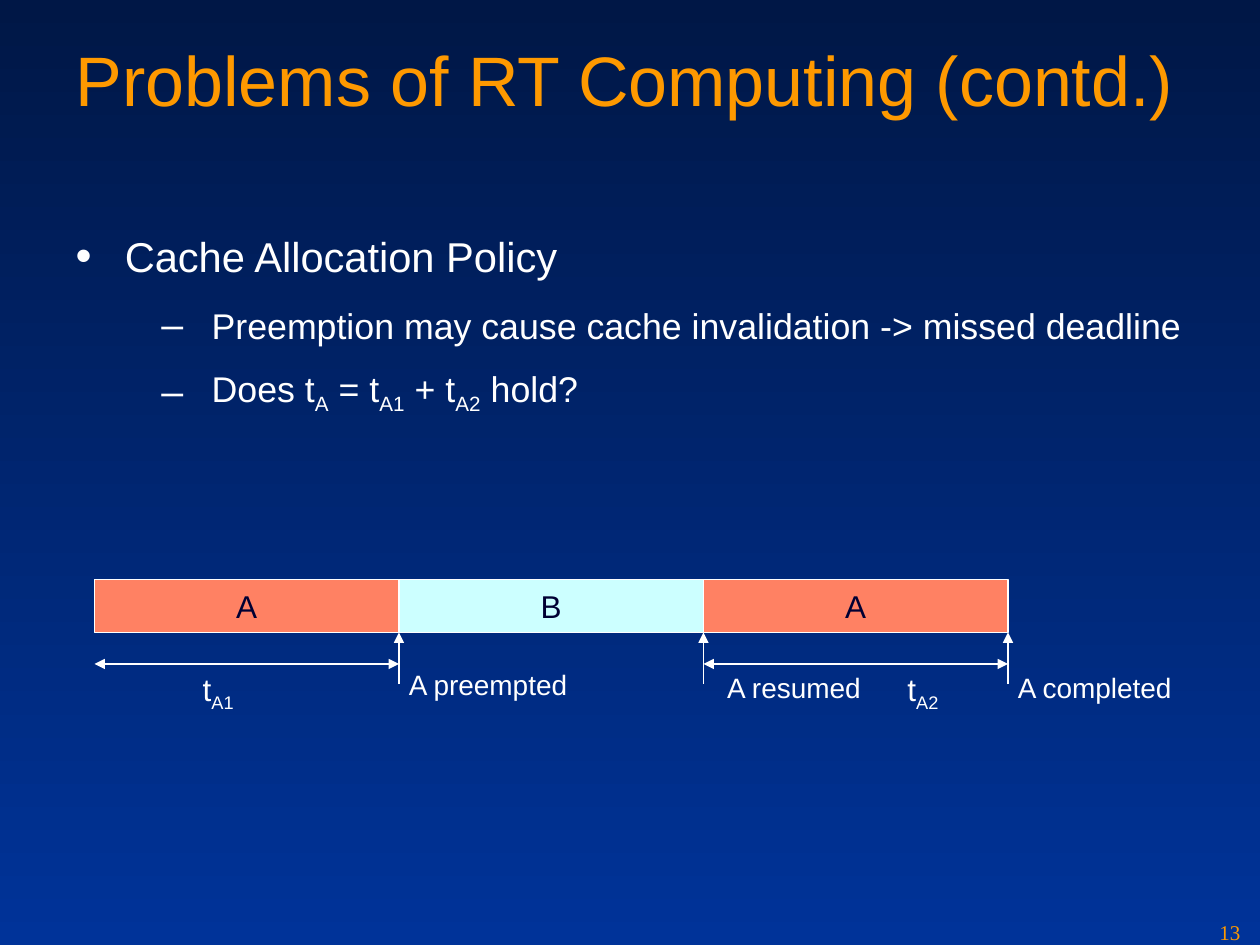
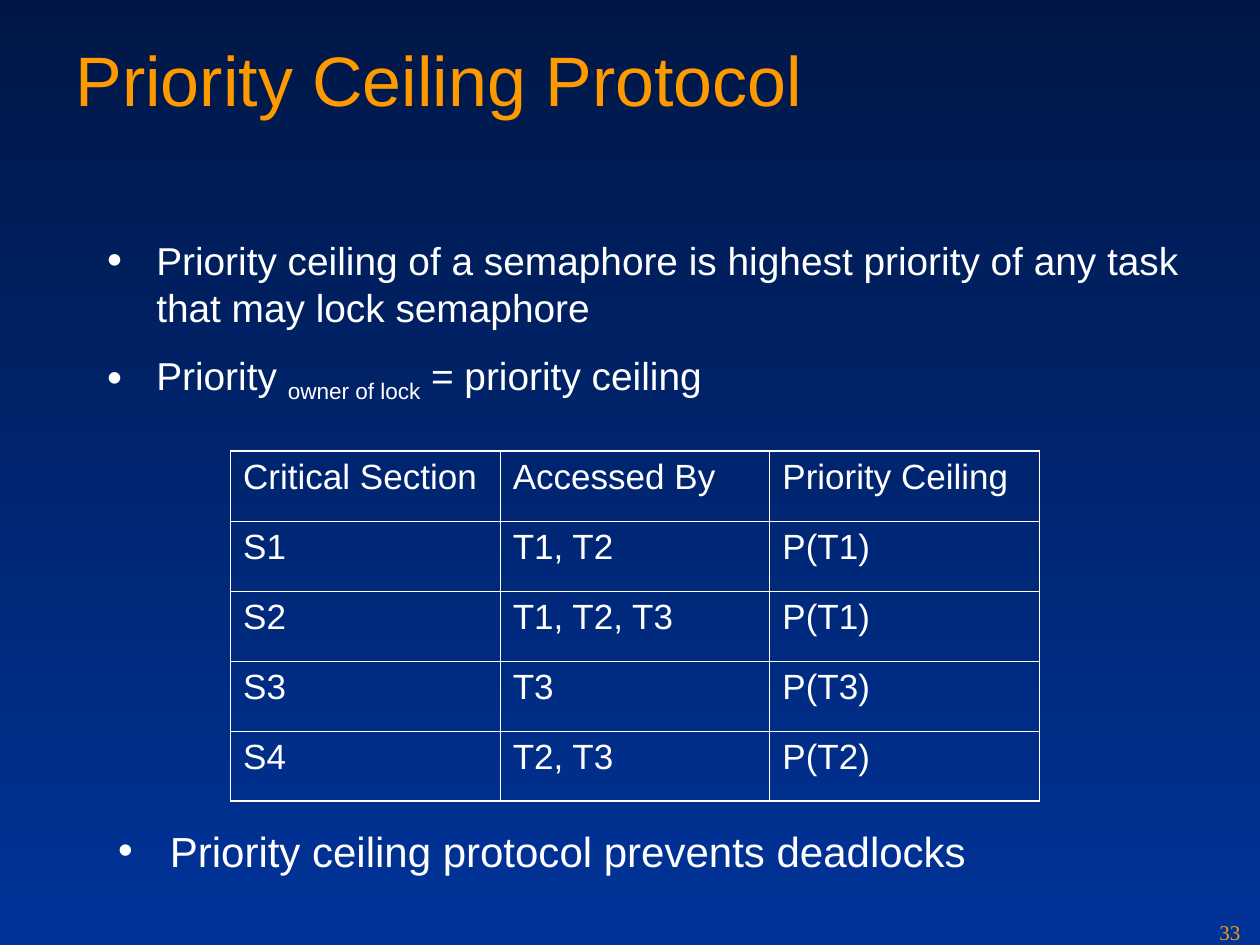
import pptx
import pptx.dml.color
import pptx.enum.shapes
import pptx.enum.text
import pptx.util
from lxml import etree
from pptx.oxml.ns import qn

Inches = pptx.util.Inches
Pt = pptx.util.Pt

COLORS = {
    "sky_top": "001746",
    "sky_bottom": "003399",
    "accent": "FE9900",
    "text": "FFFFFF",
    "dark": "000033",
    "task_a": "FF8163",
    "task_b": "CCFFFF",
}
LEFT = pptx.enum.text.PP_ALIGN.LEFT
CENTER = pptx.enum.text.PP_ALIGN.CENTER
GROW = {"word_wrap": False,
        "auto_size": pptx.enum.text.MSO_AUTO_SIZE.SHAPE_TO_FIT_TEXT}
FIXED = {"word_wrap": True,
         "auto_size": pptx.enum.text.MSO_AUTO_SIZE.NONE,
         "vertical_anchor": pptx.enum.text.MSO_ANCHOR.TOP}
BULLETS = {0: ("•", 0.39, 0.39), 1: ("–", 1.08, 0.4)}


def rgb(color):
    """Return the named colour."""
    return pptx.dml.color.RGBColor.from_string(COLORS[color])


def apply(target, values):
    """Set attributes of an object from a dict."""
    for attribute, value in values.items():
        setattr(target, attribute, value)


def place(shape, left, top, width, height):
    """Move and size a shape, in inches."""
    apply(shape, {"left": Inches(left), "top": Inches(top),
                  "width": Inches(width), "height": Inches(height)})


def write(paragraph, text, size, color="text", font="Arial", align=LEFT):
    """Write text whose parts alternate between normal and subscript at each bar."""
    paragraph.alignment = align
    for position, part in enumerate(text.split("|")):
        if not part:
            continue
        run = paragraph.add_run()
        run.text = part
        apply(run.font, {"size": Pt(size), "name": font, "bold": False})
        run.font.color.rgb = rgb(color)
        if position % 2:
            run.font._element.set("baseline", "-25000")


def add_bullet(paragraph, mark, margin, hanging, percent):
    """Give a paragraph a white bullet with a hanging indent."""
    properties = paragraph._p.get_or_add_pPr()
    properties.set("marL", str(Inches(margin)))
    properties.set("indent", str(-Inches(hanging)))
    bullet_color = etree.SubElement(properties, qn("a:buClr"))
    etree.SubElement(bullet_color, qn("a:srgbClr"), val=COLORS["text"])
    etree.SubElement(properties, qn("a:buSzPct"), val=str(percent * 1000))
    etree.SubElement(properties, qn("a:buFont"), typeface="Arial")
    etree.SubElement(properties, qn("a:buChar"), char=mark)


def add_label(slide, text, box, size, color="text", font="Arial", frame=GROW):
    """Add a text box and return its first paragraph."""
    label = slide.shapes.add_textbox(*map(Inches, box))
    apply(label.text_frame, frame)
    paragraph = label.text_frame.paragraphs[0]
    write(paragraph, text, size, color, font)
    return paragraph


def add_arrow(slide, start, end, heads):
    """Draw a thin white line with triangles at the given ends."""
    arrow = slide.shapes.add_connector(
        pptx.enum.shapes.MSO_CONNECTOR.STRAIGHT, *map(Inches, start + end))
    arrow.line.color.rgb = rgb("text")
    arrow.line.width = Pt(0.75)
    for head in heads:
        etree.SubElement(arrow.line._get_or_add_ln(), qn(head), type="triangle")
    etree.SubElement(arrow._element.spPr, qn("a:effectLst"))


def set_background(master):
    """Give the master its vertical blue gradient."""
    fill = master.background.fill
    fill.gradient()
    fill.gradient_angle = 270
    for stop, position, color in zip(fill.gradient_stops, (0, 1),
                                     ("sky_top", "sky_bottom")):
        stop.position = position
        stop.color.rgb = rgb(color)


def new_slide(deck, title, number):
    """Add a slide with its title and page number."""
    slide = deck.slides.add_slide(deck.slide_layouts[1])
    heading = slide.shapes.title
    place(heading, 0.5, 0.24, 9, 1.25)
    apply(heading.text_frame, FIXED)
    write(heading.text_frame.paragraphs[0], title, 40, "accent")
    add_label(slide, number, (9.58, 7.25, 0.42, 0.25), 12, "accent",
              "Times New Roman", FIXED)
    return slide


def fill_body(slide, box, points):
    """Fill the body with (level, text, size, spacing) points."""
    body = slide.placeholders[1]
    place(body, *box)
    frame = body.text_frame
    apply(frame, FIXED)
    for index, (level, text, size, spacing) in enumerate(points):
        paragraph = frame.add_paragraph() if index else frame.paragraphs[0]
        add_bullet(paragraph, *BULLETS[level], 110)
        apply(paragraph, {"level": level, "space_after": Pt(spacing),
                          "space_before": Pt(spacing if index else 0)})
        write(paragraph, text, size)


def draw_timeline(slide, left, top, width):
    """Draw the three task slots with their events and durations."""
    slots = [("A", "task_a"), ("B", "task_b"), ("A", "task_a")]
    slot_width, slot_height = width / len(slots), 0.42
    edges = [left + slot_width * index for index in range(len(slots) + 1)]
    for edge, (task, color) in zip(edges, slots):
        slot = slide.shapes.add_shape(
            pptx.enum.shapes.MSO_SHAPE.RECTANGLE,
            *map(Inches, (edge, top, slot_width, slot_height)))
        slot.shadow.inherit = False
        slot.fill.solid()
        slot.fill.fore_color.rgb = rgb(color)
        slot.line.color.rgb = rgb("text")
        slot.line.width = Pt(0.75)
        slot.text_frame.vertical_anchor = pptx.enum.text.MSO_ANCHOR.MIDDLE
        write(slot.text_frame.paragraphs[0], task, 18, "dark", align=CENTER)

    events = [("A preempted", -0.02, 0.65, 1.47),
              ("A resumed", 0.09, 0.67, 1.27),
              ("A completed", -0.02, 0.67, 1.43)]
    for edge, (event, shift, drop, label_width) in zip(edges[1:], events):
        add_arrow(slide, (edge, top + 0.83), (edge, top + slot_height),
                  ["a:tailEnd"])
        add_label(slide, event, (edge + shift, top + drop, label_width, 0.37), 16)

    for first, duration, shift in [(0, "t|A1", 0.76), (2, "t|A2", 1.52)]:
        add_arrow(slide, (edges[first], top + 0.67),
                  (edges[first + 1], top + 0.67), ["a:headEnd", "a:tailEnd"])
        add_label(slide, duration,
                  (edges[first] + shift, top + 0.67, 0.48, 0.44), 18)


def set_borders(cell, outer_sides):
    """Draw white cell borders, heavier on the outer sides."""
    properties = cell._tc.get_or_add_tcPr()
    for side, is_outer in outer_sides.items():
        border = etree.SubElement(properties, qn("a:ln" + side),
                                  w=str(Pt(1.08 if is_outer else 0.45)))
        solid = etree.SubElement(border, qn("a:solidFill"))
        etree.SubElement(solid, qn("a:srgbClr"), val=COLORS["text"])


def add_ceiling_table(slide, box, rows):
    """Add the table of critical sections and their ceilings."""
    last_row, last_column = len(rows) - 1, len(rows[0]) - 1
    table = slide.shapes.add_table(len(rows), len(rows[0]),
                                   *map(Inches, box)).table
    apply(table, {"first_row": False, "horz_banding": False})
    for r, row in enumerate(rows):
        for c, text in enumerate(row):
            cell = table.cell(r, c)
            set_borders(cell, {"L": c == 0, "R": c == last_column,
                               "T": r == 0, "B": r == last_row})
            cell.fill.background()
            paragraph = cell.text_frame.paragraphs[0]
            paragraph.space_after = Pt(5)
            write(paragraph, text, 20)


def build_cache_slide(deck):
    """Build the slide on cache allocation and preemption."""
    slide = new_slide(deck, "Problems of RT Computing (contd.)", "13")
    fill_body(slide, (0.5, 1.78, 9, 1.65), [
        (0, "Cache Allocation Policy", 23.8, 7),
        (1, "Preemption may cause cache invalidation -> missed deadline", 20.4, 6),
        (1, "Does t|A| = t|A1| + t|A2| hold?", 20.4, 6),
    ])
    draw_timeline(slide, 0.75, 4.6, 7.25)


def build_ceiling_slide(deck):
    """Build the slide on the priority ceiling protocol."""
    slide = new_slide(deck, "Priority Ceiling Protocol", "33")
    fill_body(slide, (0.75, 1.83, 8.83, 1.42), [
        (0, "Priority ceiling of a semaphore is highest priority of any task "
            "that may lock semaphore", 22.2, 6),
        (0, "Priority |owner of lock| = priority ceiling", 22.2, 6),
    ])
    add_ceiling_table(slide, (1.83, 3.58, 6.42, 2.78), [
        ("Critical Section", "Accessed By", "Priority Ceiling"),
        ("S1", "T1, T2", "P(T1)"),
        ("S2", "T1, T2, T3", "P(T1)"),
        ("S3", "T3", "P(T3)"),
        ("S4", "T2, T3", "P(T2)"),
    ])
    conclusion = add_label(slide, "Priority ceiling protocol prevents deadlocks",
                           (0.84, 6.5, 6.93, 0.5), 24)
    add_bullet(conclusion, "•", 0.41, 0.41, 100)


def main():
    """Build and save the deck."""
    deck = pptx.Presentation()
    apply(deck, {"slide_width": Inches(10), "slide_height": Inches(7.5)})
    set_background(deck.slide_master)
    build_cache_slide(deck)
    build_ceiling_slide(deck)
    deck.save("out.pptx")


if __name__ == "__main__":
    main()
